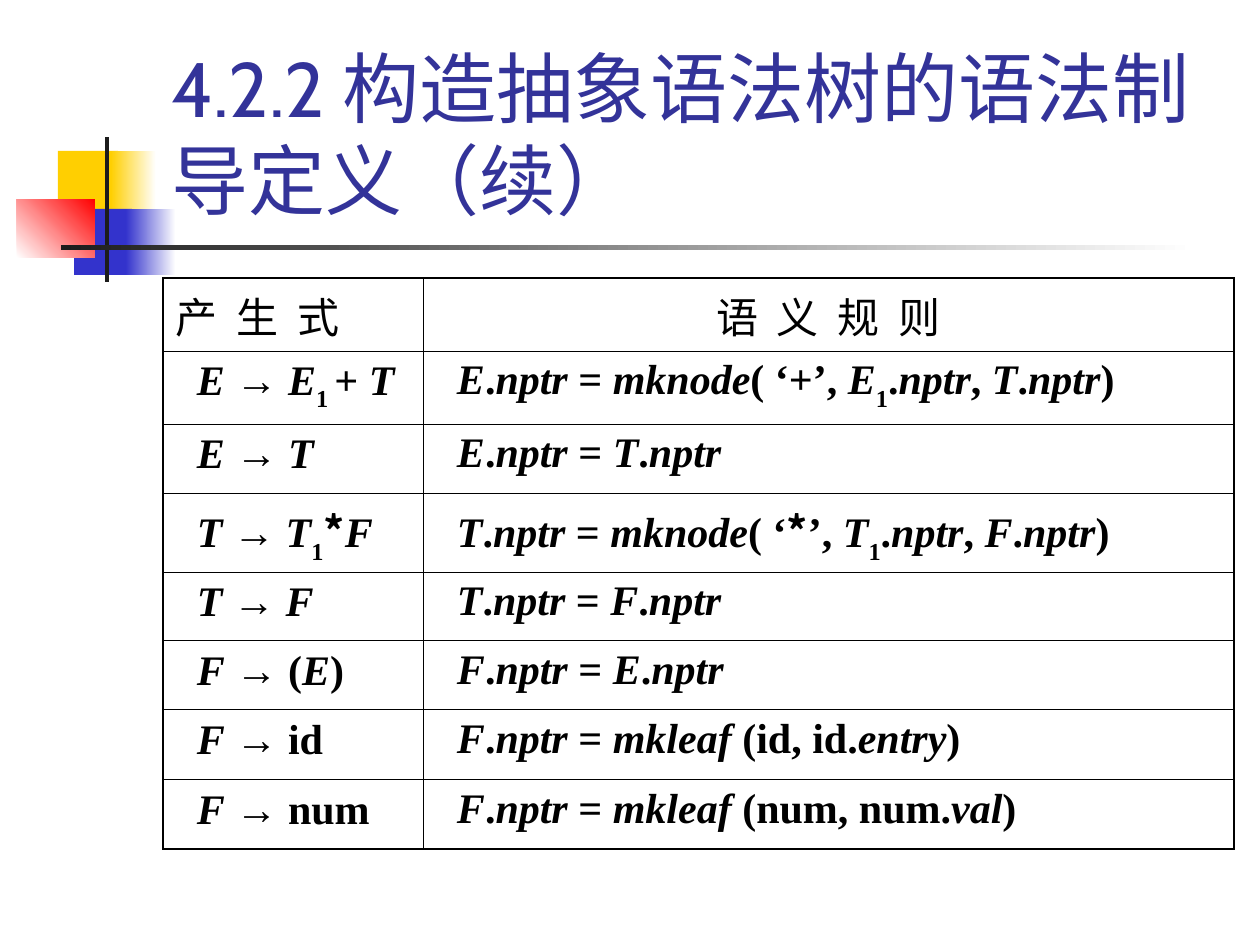
from dataclasses import dataclass
from itertools import groupby
from typing import NamedTuple

import pptx
import pptx.dml.color
import pptx.enum.shapes
import pptx.enum.text
import pptx.oxml
import pptx.oxml.ns
import pptx.util

EMU_PER_PX = 914400 / 126


@dataclass(frozen=True)
class Theme:
    yellow: str = "FFCF01"
    blue: str = "3333CC"
    red: str = "FF0000"
    dark: str = "1C1C1C"
    white: str = "FFFFFF"
    title: str = "333399"
    ink: str = "000000"
    title_size: float = 44
    body_size: float = 24
    outer_border: float = 1.08
    inner_border: float = 0.45
    title_font: str = "Cabin"
    formula_font: str = "Times New Roman"
    arrow_font: str = "Arial"
    chinese_font: str = "Noto Sans CJK SC"


class Block(NamedTuple):
    left: int
    top: int
    width: int
    height: int
    color: str
    end_color: str = ""
    angle: int = 0


class Rule(NamedTuple):
    production: str
    semantics: str


THEME = Theme()
BLOCKS = [
    Block(58, 151, 60, 66, THEME.yellow),
    Block(111, 151, 45, 66, THEME.yellow, THEME.white),
    Block(74, 209, 58, 66, THEME.blue),
    Block(126, 209, 50, 66, THEME.blue, THEME.white),
    Block(17, 199, 78, 59, THEME.white, THEME.red, 45),
    Block(105, 137, 4, 145, THEME.dark),
    Block(61, 245, 1134, 5, THEME.dark, THEME.white),
]
TITLE = "4.2.2 构造抽象语法树的语法制导定义（续）"
HEADER = Rule("产 生 式", "语 义 规 则")
# In rules, _ switches italics and ~ switches subscript.
RULES = [
    Rule("_E_ → _E_~1 ~+ _T_", "_E_._nptr_ = _mknode_( ‘+’, _E_~1~._nptr_, _T_._nptr_)"),
    Rule("_E_ → _T_", "_E_._nptr_ = _T_._nptr_"),
    Rule("_T_ → _T_~1~*_F_", "_T_._nptr_ = _mknode_( ‘*’, _T_~1~._nptr_, _F_._nptr_)"),
    Rule("_T_ → _F_", "_T_._nptr_ = _F_._nptr_"),
    Rule("_F_ → (_E_)", "_F_._nptr_ = _E_._nptr_"),
    Rule("_F_ → id", "_F_._nptr_ = _mkleaf _(id, id._entry_)"),
    Rule("_F_ → num", "_F_._nptr_ = _mkleaf _(num, num._val_)"),
]
COLUMN_WIDTHS = [260, 811]
ROW_HEIGHTS = [73, 73, 69, 79, 69, 69, 70, 69]


def px(length: int) -> int:
    return round(length * EMU_PER_PX)


def rgb(color: str) -> pptx.dml.color.RGBColor:
    return pptx.dml.color.RGBColor.from_string(color)


def add_text(paragraph, text: str, *, font: str, size: float, color: str = THEME.ink,
             bold: bool = False, italic: bool = False, subscript: bool = False,
             spacing: float = 0) -> None:
    run = paragraph.add_run()
    run.text = text
    run.font.size = pptx.util.Pt(size)
    run.font.bold = bold
    run.font.italic = italic
    run.font.color.rgb = rgb(color)
    run.font.name = font
    properties = run.font._element
    east_asian = pptx.oxml.parse_xml(f'<a:ea {pptx.oxml.ns.nsdecls("a")} typeface="{font}"/>')
    properties.append(east_asian)
    if subscript:
        properties.set("baseline", "-30000")
    if spacing:
        properties.set("spc", str(round(spacing * 100)))


def add_formula(paragraph, markup: str) -> None:
    special_fonts = {"→": THEME.arrow_font, "*": THEME.chinese_font}
    italic = subscript = False
    styled = []
    for character in markup:
        if character == "_":
            italic = not italic
        elif character == "~":
            subscript = not subscript
        else:
            font = special_fonts.get(character, THEME.formula_font)
            styled.append((character, (font, italic, subscript)))
    for (font, slanted, lowered), group in groupby(styled, key=lambda pair: pair[1]):
        add_text(paragraph, "".join(pair[0] for pair in group), font=font,
                 size=THEME.body_size, bold=True, italic=slanted, subscript=lowered)


def draw_block(slide, block: Block) -> None:
    shape = slide.shapes.add_shape(
        pptx.enum.shapes.MSO_SHAPE.RECTANGLE,
        px(block.left), px(block.top), px(block.width), px(block.height))
    shape.shadow.inherit = False
    shape.line.fill.background()
    if block.end_color:
        shape.fill.gradient()
        shape.fill.gradient_angle = block.angle
        for stop, color in zip(shape.fill.gradient_stops, (block.color, block.end_color)):
            stop.color.rgb = rgb(color)
    else:
        shape.fill.solid()
        shape.fill.fore_color.rgb = rgb(block.color)


def draw_title(slide) -> None:
    box = slide.shapes.add_textbox(px(159), px(29), px(1073), px(202))
    frame = box.text_frame
    frame.word_wrap = True
    frame.vertical_anchor = pptx.enum.text.MSO_ANCHOR.BOTTOM
    add_text(frame.paragraphs[0], TITLE, font=THEME.title_font,
             size=THEME.title_size, color=THEME.title)


def set_borders(cell, outer_sides: dict[str, bool]) -> None:
    properties = cell._tc.get_or_add_tcPr()
    for index, (side, outer) in enumerate(outer_sides.items()):
        width = pptx.util.Pt(THEME.outer_border if outer else THEME.inner_border)
        properties.insert(index, pptx.oxml.parse_xml(
            f'<a:ln{side} {pptx.oxml.ns.nsdecls("a")} w="{width}"><a:solidFill>'
            f'<a:srgbClr val="{THEME.ink}"/></a:solidFill></a:ln{side}>'))


def draw_table(slide) -> None:
    rows = [HEADER, *RULES]
    table = slide.shapes.add_table(
        len(rows), len(COLUMN_WIDTHS), px(163), px(278),
        px(sum(COLUMN_WIDTHS)), px(sum(ROW_HEIGHTS))).table
    table.first_row = table.horz_banding = False
    for column, width in zip(table.columns, COLUMN_WIDTHS):
        column.width = px(width)
    for row, height in zip(table.rows, ROW_HEIGHTS):
        row.height = px(height)
    for row_index, rule in enumerate(rows):
        for column_index, text in enumerate(rule):
            cell = table.cell(row_index, column_index)
            cell.fill.background()
            set_borders(cell, {
                "L": column_index == 0, "R": column_index == len(rule) - 1,
                "T": row_index == 0, "B": row_index == len(rows) - 1})
            paragraph = cell.text_frame.paragraphs[0]
            if rule is HEADER:
                add_text(paragraph, text, font=THEME.chinese_font,
                         size=THEME.body_size, spacing=2.7)
                if column_index == 1:
                    paragraph.alignment = pptx.enum.text.PP_ALIGN.CENTER
            else:
                cell.margin_left = px(34)
                add_formula(paragraph, text)


def main() -> None:
    presentation = pptx.Presentation()
    presentation.slide_width = px(1260)
    presentation.slide_height = px(945)
    slide = presentation.slides.add_slide(presentation.slide_layouts[6])
    for block in BLOCKS:
        draw_block(slide, block)
    draw_title(slide)
    draw_table(slide)
    presentation.save("out.pptx")


if __name__ == "__main__":
    main()
